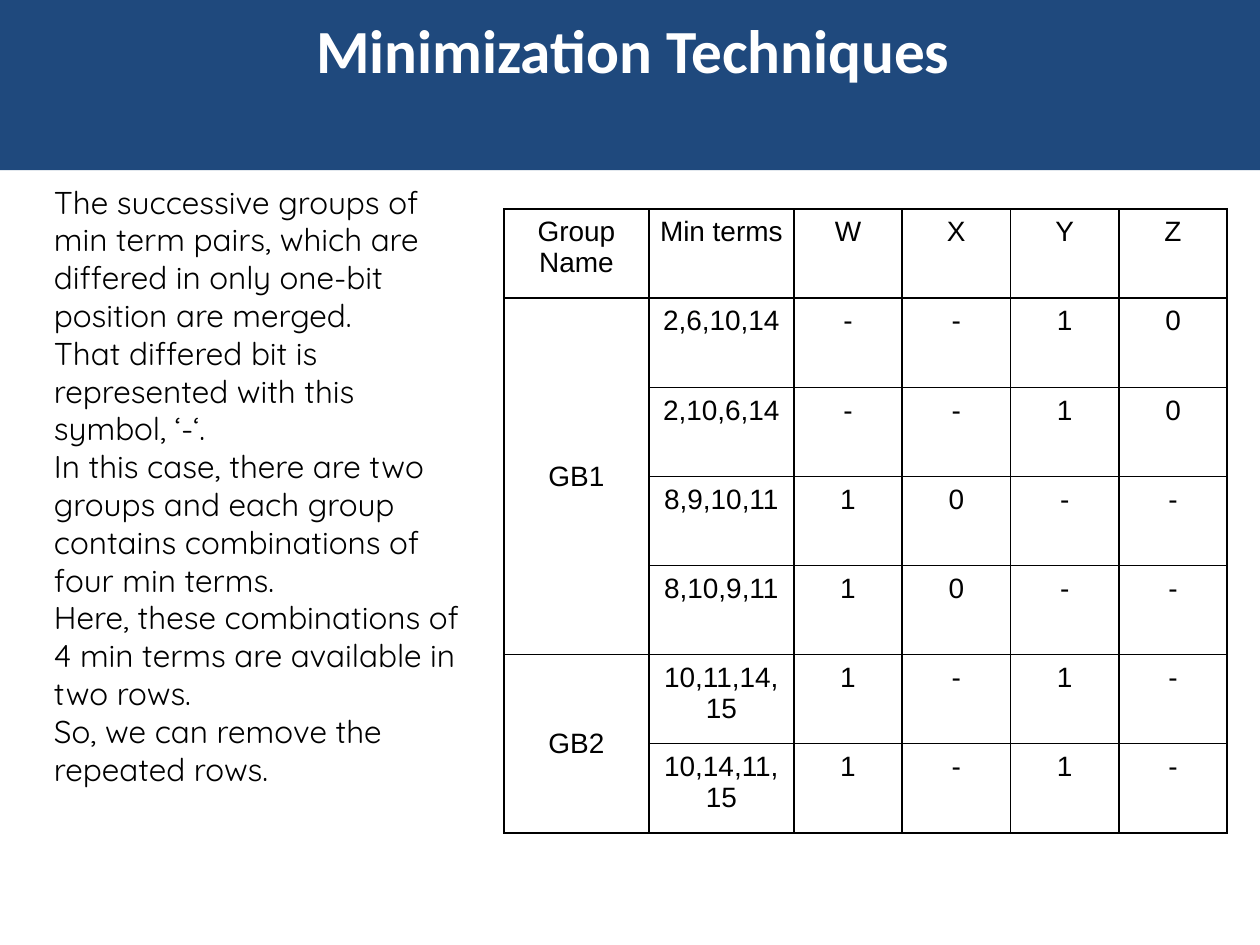
import pptx
import pptx.dml.color
import pptx.enum.shapes
import pptx.enum.text
import pptx.oxml
import pptx.oxml.ns
import pptx.util

Inches = pptx.util.Inches
Pt = pptx.util.Pt
ALIGN = pptx.enum.text.PP_ALIGN
ANCHOR = pptx.enum.text.MSO_ANCHOR

COLORS = {"band": "1F497D", "title": "FFFFFF", "text": "000000", "line": "000000"}

BODY = [
    "The successive groups of min term pairs, which are differed in only one-bit position are merged.",
    "That differed bit is represented with this symbol, ‘-‘.",
    "In this case, there are two groups and each group contains combinations of four min terms.",
    "Here, these combinations of 4 min terms are available in two rows.",
    "So, we can remove the repeated rows.",
]

HEAD = ["Group Name", "Min terms", "W", "X", "Y", "Z"]
# Each group: name, then its min terms with the bits W to Z
GROUPS = [
    ("GB1", [("2,6,10,14", "--10"), ("2,10,6,14", "--10"),
             ("8,9,10,11", "10--"), ("8,10,9,11", "10--")]),
    ("GB2", [("10,11,14,15", "1-1-"), ("10,14,11,15", "1-1-")]),
]
WIDTHS = [1.15, 1.15] + [0.86] * 4


def color(name):
    return pptx.dml.color.RGBColor.from_string(COLORS[name])


def style(frame, font, size, tint, align=ALIGN.LEFT, bold=False):
    for para in frame.paragraphs:
        para.alignment = align
        for run in para.runs:
            run.font.name = font
            run.font.size = Pt(size)
            run.font.bold = bold
            run.font.color.rgb = color(tint)


def add_band(slide):
    band = slide.shapes.add_shape(
        pptx.enum.shapes.MSO_SHAPE.RECTANGLE, 0, 0, Inches(10), Inches(1.35))
    band.shadow.inherit = False
    band.fill.solid()
    band.fill.fore_color.rgb = color("band")
    band.line.fill.background()


def add_text(slide, left, top, width, height, lines, *look):
    box = slide.shapes.add_textbox(
        Inches(left), Inches(top), Inches(width), Inches(height))
    frame = box.text_frame
    frame.word_wrap = True
    frame.text = "\n".join(lines)
    style(frame, *look)


def add_edges(cell):
    props = cell._tc.get_or_add_tcPr()
    for index, side in enumerate(("lnL", "lnR", "lnT", "lnB")):
        edge = pptx.oxml.parse_xml(
            f'<a:{side} {pptx.oxml.ns.nsdecls("a")} w="{Pt(1)}"><a:solidFill>'
            f'<a:srgbClr val="{COLORS["line"]}"/></a:solidFill></a:{side}>')
        props.insert(index, edge)


def fill_cell(cell, text):
    cell.margin_left = cell.margin_right = Inches(0.06)
    cell.margin_top = cell.margin_bottom = Inches(0.06)
    cell.fill.background()
    cell.text_frame.text = text
    style(cell.text_frame, "Arial", 16, "text", ALIGN.CENTER)
    add_edges(cell)


def add_grid(slide):
    rows = [HEAD]
    spans = []
    for name, terms in GROUPS:
        spans.append((len(rows), len(rows) + len(terms) - 1))
        for index, (term, bits) in enumerate(terms):
            rows.append([name if index == 0 else "", term, *bits])

    grid = slide.shapes.add_table(
        len(rows), len(HEAD), Inches(4), Inches(1.66),
        Inches(sum(WIDTHS)), Inches(4.95)).table
    grid.first_row = grid.horz_banding = False
    for column, width in zip(grid.columns, WIDTHS):
        column.width = Inches(width)
    for r, row in enumerate(rows):
        for c, text in enumerate(row):
            fill_cell(grid.cell(r, c), text)

    # Group names span their rows
    for first, last in spans:
        grid.cell(first, 0).merge(grid.cell(last, 0))
        grid.cell(first, 0).vertical_anchor = ANCHOR.MIDDLE


def main():
    deck = pptx.Presentation()
    deck.slide_width = Inches(10)
    deck.slide_height = Inches(7.5)
    slide = deck.slides.add_slide(deck.slide_layouts[6])

    # Title band
    add_band(slide)
    add_text(slide, 0.08, 0.05, 10, 1.31, ["Minimization Techniques "],
             "Calibri", 35, "title", ALIGN.CENTER, True)
    # Explanation
    add_text(slide, 0.33, 1.4, 3.5, 4.95, BODY, "Quicksand", 18, "text")
    # Min term table
    add_grid(slide)

    deck.save("out.pptx")


if __name__ == "__main__":
    main()
